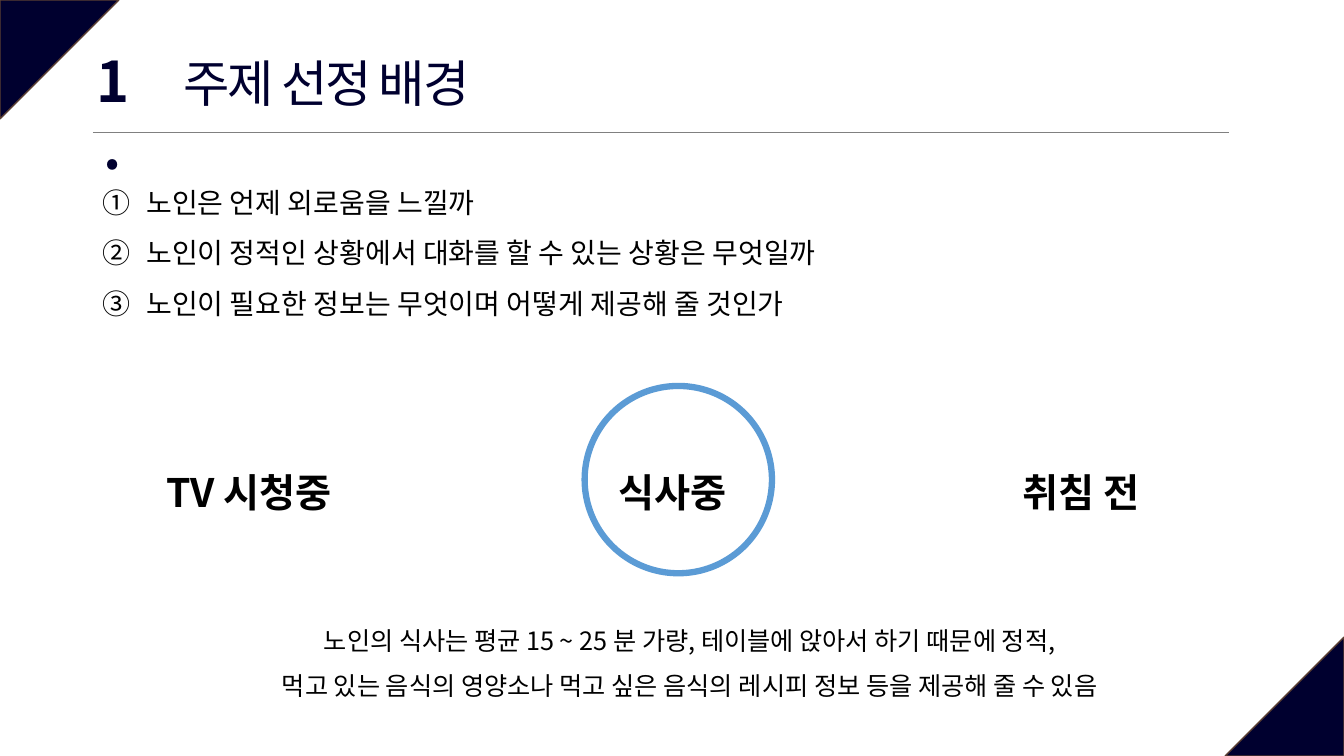
from lxml.etree import SubElement
from pptx import Presentation
from pptx.dml.color import RGBColor
from pptx.enum.shapes import MSO_CONNECTOR, MSO_SHAPE
from pptx.enum.text import MSO_ANCHOR, MSO_AUTO_SIZE, PP_ALIGN
from pptx.oxml.ns import qn
from pptx.util import Inches, Pt

NAVY = RGBColor(0x00, 0x00, 0x2F)
BROWN = RGBColor(0x5B, 0x3F, 0x33)
GRAY = RGBColor(0x80, 0x80, 0x80)
BLUE = RGBColor(0x5B, 0x9B, 0xD5)
BLACK = RGBColor(0x00, 0x00, 0x00)
FONT = "Noto Sans CJK KR"

deck = Presentation()
deck.slide_width, deck.slide_height = Inches(13.33), Inches(7.5)
COLUMN = deck.slide_width / 32
ROW = deck.slide_height / 18
slide = deck.slides.add_slide(deck.slide_layouts[1])


def cells(left, top, width, height):
    return int(left * COLUMN), int(top * ROW), int(width * COLUMN), int(height * ROW)


def write(box, lines, size, color, align, bold=False, line_spacing=1.0, tracking=0, wrap=False):
    frame = box.text_frame
    frame.word_wrap = wrap
    frame.auto_size = MSO_AUTO_SIZE.NONE
    frame.vertical_anchor = MSO_ANCHOR.TOP
    for index, line in enumerate(lines):
        paragraph = frame.add_paragraph() if index else frame.paragraphs[0]
        paragraph.alignment = align
        paragraph.line_spacing = line_spacing
        paragraph.space_before = Pt(0)
        run = paragraph.add_run()
        run.text = line
        run.font.size, run.font.bold = Pt(size), bold
        run.font.color.rgb = color
        run.font.name = FONT
        properties = run.font._element
        SubElement(properties, qn("a:ea")).set("typeface", FONT)
        if tracking:
            properties.set("spc", str(int(tracking * 100)))


CORNER = 2.83
for left, top, turn in [(0, 0, 90), (32 - CORNER, 18 - CORNER, 270)]:
    corner = slide.shapes.add_shape(MSO_SHAPE.RIGHT_TRIANGLE, *cells(left, top, CORNER, CORNER))
    corner.rotation = turn
    corner.shadow.inherit = False
    corner.fill.solid()
    corner.fill.fore_color.rgb = NAVY
    corner.line.color.rgb = BROWN
    corner.line.width = Pt(1)

start_x, rule_y, rule_length, _ = cells(2.21, 3.15, 27.05, 0)
rule = slide.shapes.add_connector(
    MSO_CONNECTOR.STRAIGHT, start_x, rule_y, start_x + rule_length, rule_y)
rule.line.color.rgb = GRAY
rule.line.width = Pt(0.5)
SubElement(rule._element.spPr, qn("a:effectLst"))

heading = slide.shapes.title
heading.left, heading.top, heading.width, heading.height = cells(3.67, 1.13, 8.21, 1.7)
write(heading, ["주제 선정 배경"], 36, NAVY, PP_ALIGN.CENTER, tracking=-1.5)

section_number = slide.shapes.add_textbox(*cells(1.92, 0.98, 1.51, 1.85))
write(section_number, ["1."], 40, NAVY, PP_ALIGN.CENTER, bold=True, tracking=-1.5, wrap=True)

questions = slide.placeholders[1]
questions.left, questions.top, questions.width, questions.height = cells(2.21, 3.89, 19.68, 3.89)
write(questions, [
    "①\t노인은 언제 외로움을 느낄까",
    "②\t노인이 정적인 상황에서 대화를 할 수 있는 상황은 무엇일까",
    "③\t노인이 필요한 정보는 무엇이며 어떻게 제공해 줄 것인가",
], 20, BLACK, PP_ALIGN.LEFT, line_spacing=1.5)
for question in questions.text_frame.paragraphs:
    layout = question._p.get_or_add_pPr()
    indent = Inches(0.43)
    layout.set("marL", str(indent))
    layout.set("indent", str(-indent))
    SubElement(layout, qn("a:buNone"))

moments = [
    ("TV 시청중", 3.5, 4.85, PP_ALIGN.CENTER),
    ("식사중", 14.5, 3.31, PP_ALIGN.LEFT),
    ("취침 전", 24.12, 3.65, PP_ALIGN.LEFT),
]
for moment, left, width, align in moments:
    label = slide.shapes.add_textbox(*cells(left, 10.46, width, 1.94))
    write(label, [moment], 28, BLACK, align, bold=True, line_spacing=1.5)

meal_ring = slide.shapes.add_shape(MSO_SHAPE.OVAL, *cells(13.92, 9.19, 4.46, 4.46))
meal_ring.shadow.inherit = False
meal_ring.fill.background()
meal_ring.line.color.rgb = BLUE
meal_ring.line.width = Pt(4.5)

reason = slide.shapes.add_textbox(*cells(5.09, 14.4, 22.66, 2.42))
write(reason, [
    "노인의 식사는 평균 15 ~ 25 분 가량, 테이블에 앉아서 하기 때문에 정적,",
    "먹고 있는 음식의 영양소나 먹고 싶은 음식의 레시피 정보 등을 제공해 줄 수 있음",
], 18, BLACK, PP_ALIGN.CENTER, line_spacing=1.5)

deck.save("out.pptx")
